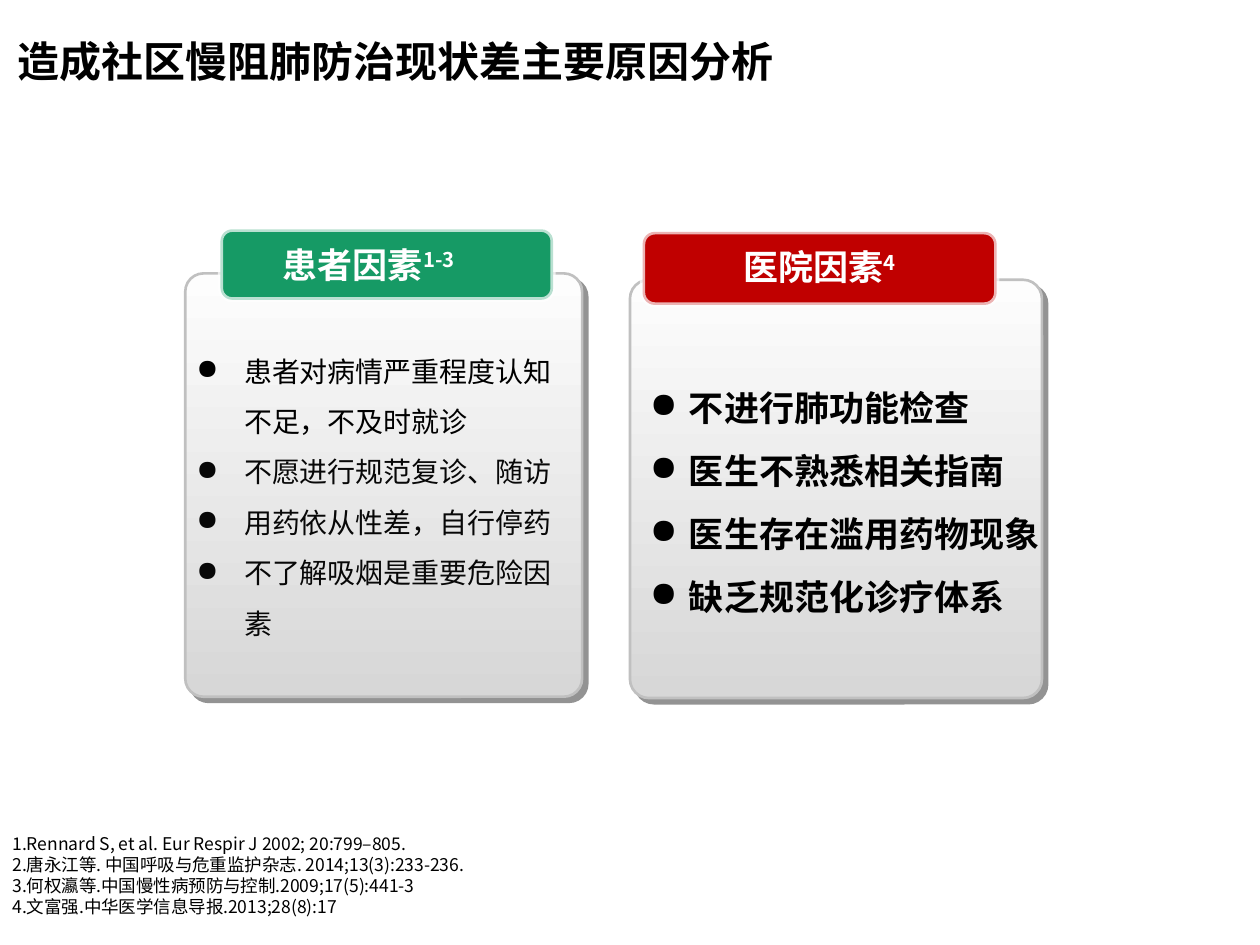
from lxml import etree
from pptx import Presentation
from pptx.dml.color import RGBColor
from pptx.enum import shapes, text
from pptx.oxml import ns
from pptx.util import Inches, Pt

FONT = "Noto Sans CJK SC"


def color(hex_value):
    return RGBColor.from_string(hex_value)


def add_xml(parent, tag, **attributes):
    element = etree.SubElement(parent, ns.qn(tag))
    for name, value in attributes.items():
        element.set(name, str(value))
    return element


def format_runs(paragraph, size, hex_value, bold=False):
    for run in paragraph.runs:
        run.font.name = FONT
        run.font.size = Pt(size)
        run.font.bold = bold
        run.font.color.rgb = color(hex_value)
        add_xml(run._r.get_or_add_rPr(), "a:ea", typeface=FONT)


def add_text_box(slide, box, lines, size, hex_values, bold=False, wrap=True, grow=True):
    """Add one paragraph per line; the last colour carries on."""
    text_box = slide.shapes.add_textbox(*map(Inches, box))
    frame = text_box.text_frame
    frame.word_wrap = wrap
    if grow:
        frame.auto_size = text.MSO_AUTO_SIZE.SHAPE_TO_FIT_TEXT
    frame.text = "\n".join(lines)
    for index, paragraph in enumerate(frame.paragraphs):
        hex_value = hex_values[min(index, len(hex_values) - 1)]
        format_runs(paragraph, size, hex_value, bold)
    return frame


def add_bullets(slide, box, lines, size, hex_values, indent, bold=False):
    frame = add_text_box(slide, box, lines, size, hex_values, bold)
    for paragraph in frame.paragraphs:
        paragraph.line_spacing = 1.5
        properties = paragraph._p.get_or_add_pPr()
        properties.set("marL", str(Inches(indent)))
        properties.set("indent", str(-Inches(indent)))
        add_xml(properties, "a:buChar", char="●")


def add_round_box(slide, box, corner, line_hex, line_width):
    shape = slide.shapes.add_shape(
        shapes.MSO_SHAPE.ROUNDED_RECTANGLE, *map(Inches, box))
    shape.adjustments[0] = corner
    shape.shadow.inherit = False
    shape.line.color.rgb = color(line_hex)
    shape.line.width = Pt(line_width)
    return shape


def add_card(slide, box):
    card = add_round_box(slide, box, 0.046, "C0C0C0", 1.5)
    card.fill.gradient()
    card.fill.gradient_angle = 270  # top to bottom
    for stop, hex_value in zip(card.fill.gradient_stops, ("FDFDFD", "D7D7D7")):
        stop.color.rgb = color(hex_value)
    # Hard shadow towards the lower right
    effects = card._element.spPr.find(ns.qn("a:effectLst"))
    shadow = add_xml(effects, "a:outerShdw", blurRad=0, dist=Pt(4.2),
                     dir=45 * 60000, algn="ctr", rotWithShape=0)
    shade = add_xml(shadow, "a:srgbClr", val="292929")
    add_xml(shade, "a:alpha", val=50000)


def add_tab(slide, box, fill_hex):
    tab = add_round_box(slide, box, 0.167, "FFFFFF", 3)
    tab.fill.solid()
    tab.fill.fore_color.rgb = color(fill_hex)
    line_color = tab.line._ln.find(".//" + ns.qn("a:srgbClr"))
    add_xml(line_color, "a:alpha", val=70000)


def add_heading(slide, box, title, citation):
    frame = add_text_box(slide, box, [title], 20, ["FFFFFF"], bold=True)
    paragraph = frame.paragraphs[0]
    paragraph.alignment = text.PP_ALIGN.CENTER
    superscript = paragraph.add_run()
    superscript.text = citation
    format_runs(paragraph, 20, "FFFFFF", bold=True)
    superscript._r.get_or_add_rPr().set("baseline", "30000")


def main():
    presentation = Presentation()
    presentation.slide_width = Inches(10)
    presentation.slide_height = Inches(7.5)
    slide = presentation.slides.add_slide(presentation.slide_layouts[6])

    # Title
    title = add_text_box(slide, (0.04, 0.28, 9.65, 0.9),
                         ["造成社区慢阻肺防治现状差主要原因分析"],
                         24, ["000000"], bold=True, grow=False)
    title.paragraphs[0].line_spacing = 0.9

    # Hospital factors
    add_card(slide, (5, 2.22, 3.27, 3.32))
    add_tab(slide, (5.1, 1.84, 2.81, 0.58), "C00000")
    add_heading(slide, (5.47, 1.9, 2.07, 0.44), "医院因素", "4")
    add_bullets(slide, (5.06, 2.85, 3.32, 2.12), [
        "不进行肺功能检查",
        "医生不熟悉相关指南",
        "医生存在滥用药物现象",
        "缺乏规范化诊疗体系",
    ], 20, ["000000"], 0.31, bold=True)

    # Patient factors
    add_card(slide, (1.47, 2.17, 3.15, 3.36))
    add_tab(slide, (1.75, 1.82, 2.64, 0.56), "169A65")
    add_heading(slide, (2.01, 1.88, 1.97, 0.66), "患者因素", "1-3\t")
    add_bullets(slide, (1.46, 2.63, 3.15, 2.93), [
        "患者对病情严重程度认知不足，不及时就诊",
        "不愿进行规范复诊、随访",
        "用药依从性差，自行停药",
        "不了解吸烟是重要危险因素",
    ], 16, ["000000", "080808"], 0.38)

    # References
    add_text_box(slide, (0, 6.56, 4.06, 0.94), [
        "1.Rennard S, et al. Eur Respir J 2002; 20:799–805.",
        "2.唐永江等. 中国呼吸与危重监护杂志. 2014;13(3):233-236.",
        "3.何权瀛等.中国慢性病预防与控制.2009;17(5):441-3",
        "4.文富强.中华医学信息导报.2013;28(8):17",
    ], 10, ["000000"], wrap=False)

    presentation.save("out.pptx")


if __name__ == "__main__":
    main()
